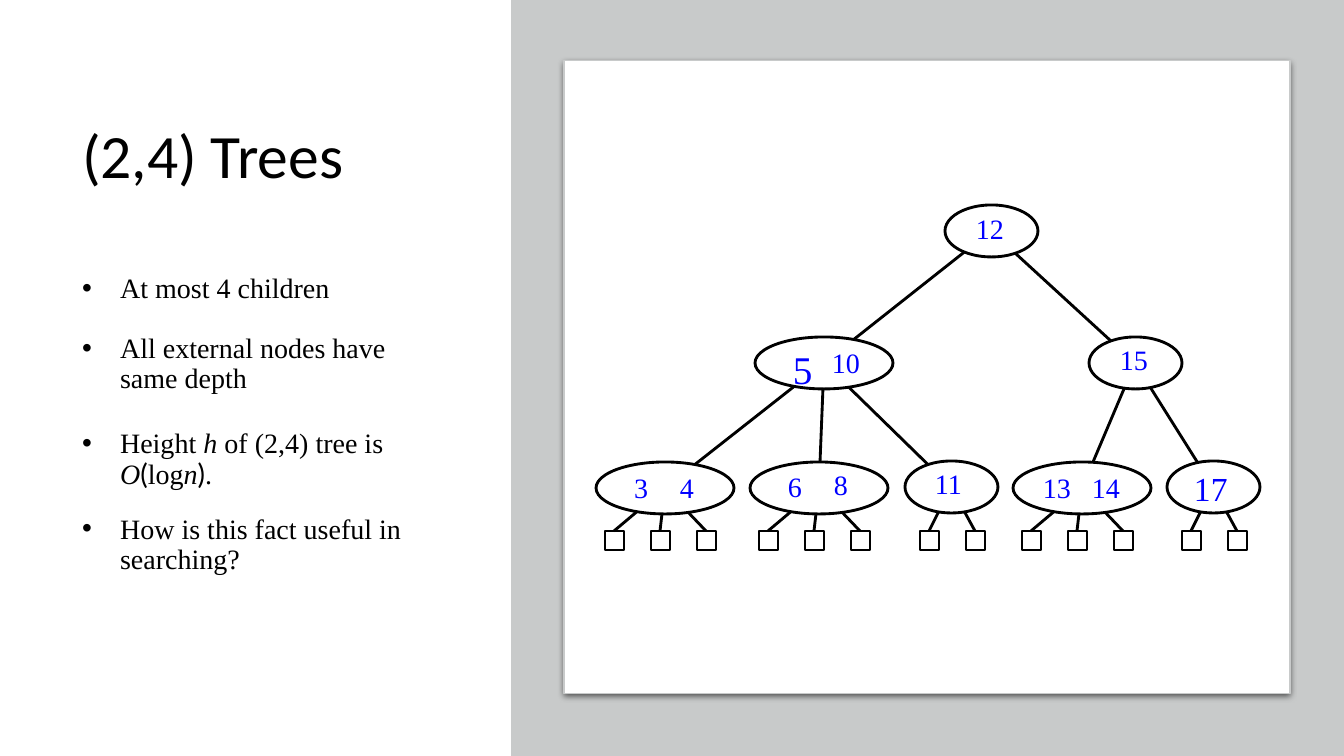
"""Build the (2,4) Trees slide: title, bullet list and tree diagram."""
from lxml import etree
from pptx import Presentation
from pptx.dml.color import RGBColor
from pptx.enum.shapes import MSO_CONNECTOR, MSO_SHAPE
from pptx.enum.text import MSO_ANCHOR, MSO_AUTO_SIZE, PP_ALIGN
from pptx.oxml import parse_xml
from pptx.oxml.ns import qn
from pptx.util import Pt

PX = 9071
STRAIGHT = MSO_CONNECTOR.STRAIGHT
OVAL, SQUARE, ROUNDED = MSO_SHAPE.OVAL, MSO_SHAPE.RECTANGLE, MSO_SHAPE.ROUNDED_RECTANGLE
MIDDLE, TOP = MSO_ANCHOR.MIDDLE, MSO_ANCHOR.TOP
BLACK, WHITE, GREY, BLUE = "000000", "FFFFFF", "C8CACA", "0000FF"
SERIF, SANS = "Times New Roman", "Calibri"
STROKE = 2.04
NODE_HEIGHT, LEAF_SIZE, LEAF_TOP, LEAF_STEP = 52, 19, 531, 46

deck = Presentation()
deck.slide_width, deck.slide_height = 1344 * PX, 756 * PX
page = deck.slides.add_slide(deck.slide_layouts[1])


def write(para, text, size=20, font=SERIF, color=BLACK, italic=False, spacing=0.9):
    para.alignment = PP_ALIGN.LEFT
    para.line_spacing = spacing
    span = para.add_run()
    span.text = text
    span.font.size, span.font.name, span.font.italic = Pt(size), font, italic
    span.font.color.rgb = RGBColor.from_string(color)


def draw(kind, left, top, width, height, fill=None, line=None, weight=STROKE):
    shape = page.shapes.add_shape(kind, left * PX, top * PX, width * PX, height * PX)
    shape.shadow.inherit = False
    if fill:
        shape.fill.solid()
        shape.fill.fore_color.rgb = RGBColor.from_string(fill)
    else:
        shape.fill.background()
    if line:
        shape.line.color.rgb = RGBColor.from_string(line)
        shape.line.width = Pt(weight)
    else:
        shape.line.fill.background()
    return shape


title, body = page.shapes.title, page.placeholders[1]
for holder, top, height, anchor in [(title, 70, 178, MIDDLE), (body, 269, 417, TOP)]:
    holder.left, holder.top = 72 * PX, top * PX
    holder.width, holder.height = 386 * PX, height * PX
    holder.text_frame.word_wrap = True
    holder.text_frame.auto_size = MSO_AUTO_SIZE.NONE
    holder.text_frame.vertical_anchor = anchor
write(title.text_frame.paragraphs[0], "(2,4) Trees", size=44, font=SANS)

bullets = [
    (0, [("At most 4 children", {})]),
    (21.4, [("All external nodes have same depth", {})]),
    (24.9, [("Height ", {}), ("h", {"italic": True}), (" of (2,4) tree is ", {}),
            ("O", {"italic": True}), ("(", {"font": "Lato"}), ("log", {}),
            ("n", {"italic": True}), (")", {"font": "Lato"}), (".", {})]),
    (17.7, [("How is this fact useful in searching?", {})]),
]
for index, (space, spans) in enumerate(bullets):
    para = body.text_frame.add_paragraph() if index else body.text_frame.paragraphs[0]
    properties = para._p.get_or_add_pPr()
    properties.set("marL", str(38 * PX))
    properties.set("indent", str(-38 * PX))
    color = etree.SubElement(properties, qn("a:buClr"))
    etree.SubElement(color, qn("a:srgbClr"), val=BLACK)
    etree.SubElement(properties, qn("a:buFont"), typeface="Arial")
    etree.SubElement(properties, qn("a:buChar"), char="•")
    para.space_before = Pt(space)
    for text, style in spans:
        write(para, text, **style)

draw(SQUARE, 511, 0, 833, 756, fill=GREY)
card = draw(ROUNDED, 564, 61, 726, 633, fill=WHITE, line=GREY, weight=0.75)
card.adjustments[0] = 0
card._element.spPr.find(qn("a:effectLst")).append(parse_xml(
    '<a:outerShdw xmlns:a="http://schemas.openxmlformats.org/drawingml/2006/main"'
    ' blurRad="57150" dist="19050" dir="5400000" algn="ctr" rotWithShape="0">'
    '<a:srgbClr val="000000"><a:alpha val="63000"/></a:srgbClr></a:outerShdw>'))

# name: centre x, centre y, width, parent, first leaf offset, leaf count, labels
nodes = {
    "root": (991, 231, 93, None, 0, 0, [("12", 976, 213, 20)]),
    "left": (824, 363, 138, "root", 0, 0, [("5", 793, 348, 28), ("10", 832, 347, 20)]),
    "right": (1135, 363, 93, "root", 0, 0, [("15", 1120, 344, 20)]),
    "3-4": (665, 488, 138, "left", -51, 3, [("3", 634, 472, 20), ("4", 680, 472, 20)]),
    "6-8": (819, 488, 138, "left", -51, 3, [("6", 788, 471, 20), ("8", 834, 469, 20)]),
    "11": (951, 487, 93, "left", -22, 2, [("11", 935, 468, 20)]),
    "13-14": (1082, 488, 138, "right", -51, 3, [("13", 1043, 472, 20), ("14", 1092, 472, 20)]),
    "17": (1213, 487, 93, "right", -22, 2, [("17", 1194, 470, 24)]),
}

edges, leaves = [], []
for x, y, width, parent, offset, count, labels in nodes.values():
    if parent:
        edges.append((*nodes[parent][:2], x, y))
    for number in range(count):
        leaf_x = x + offset + number * LEAF_STEP
        edges.append((x, y, leaf_x, LEAF_TOP))
        leaves.append(leaf_x)

for edge in edges:
    branch = page.shapes.add_connector(STRAIGHT, *[value * PX for value in edge])
    branch.line.color.rgb = RGBColor.from_string(BLACK)
    branch.line.width = Pt(STROKE)
    etree.SubElement(branch._element.spPr, qn("a:effectLst"))

for leaf_x in leaves:
    draw(SQUARE, leaf_x - LEAF_SIZE // 2, LEAF_TOP, LEAF_SIZE, LEAF_SIZE, line=BLACK)

for x, y, width, parent, offset, count, labels in nodes.values():
    draw(OVAL, x - width // 2, y - NODE_HEIGHT // 2, width, NODE_HEIGHT, fill=WHITE, line=BLACK)
    for text, left, top, size in labels:
        box = page.shapes.add_textbox(left * PX, top * PX, 21 * len(text) * PX, 37 * PX)
        frame = box.text_frame
        frame.word_wrap = True
        frame.margin_left = frame.margin_right = frame.margin_top = frame.margin_bottom = 0
        write(frame.paragraphs[0], text, size=size, color=BLUE, spacing=0.97)

deck.save("out.pptx")
